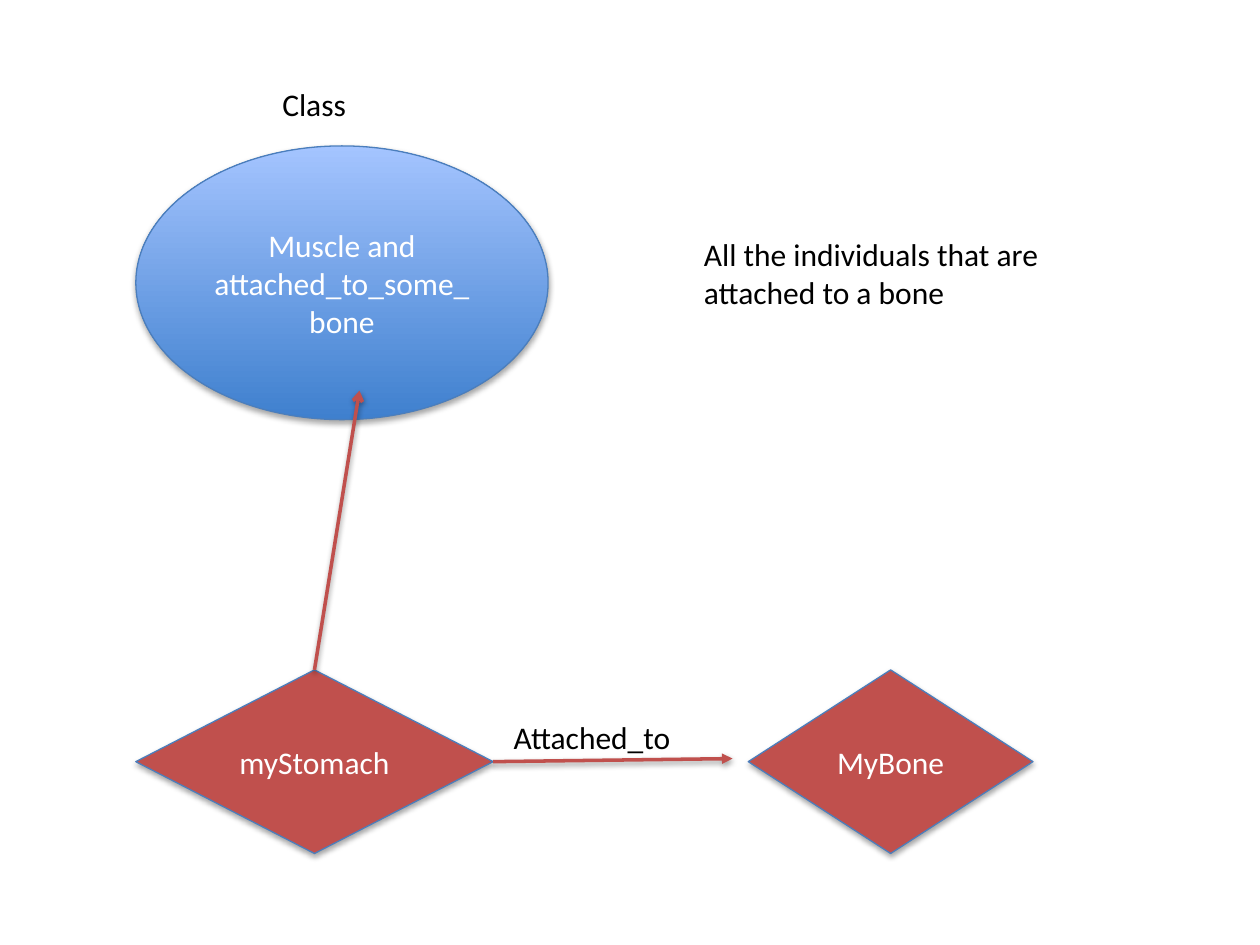
import dataclasses

import pptx
import pptx.dml.color
import pptx.enum.shapes
import pptx.enum.text
import pptx.oxml
import pptx.oxml.ns
import pptx.util

Pt = pptx.util.Pt
RGB = pptx.dml.color.RGBColor.from_string
SHAPE = pptx.enum.shapes.MSO_SHAPE
ALIGN = pptx.enum.text.PP_ALIGN
ANCHOR = pptx.enum.text.MSO_ANCHOR
AUTO = pptx.enum.text.MSO_AUTO_SIZE
NS = pptx.oxml.ns.nsdecls("a")


@dataclasses.dataclass(frozen=True)
class Theme:
    font: str = "Calibri"
    size: float = 18
    dark: str = "000000"
    light: str = "FFFFFF"
    individual: str = "C0504D"
    outline: str = "4B7EBC"
    gradient: tuple = ("3F80CE", "A4C4FF")
    outline_width: float = 0.75
    arrow_width: float = 2


THEME = Theme()


def set_format(obj, values):
    for name, value in values.items():
        setattr(obj, name, value)


def write(tf, text, color, frame, align=None):
    set_format(tf, frame)
    p = tf.paragraphs[0]
    p.alignment = align
    r = p.add_run()
    r.text = text
    set_format(r.font, {"name": THEME.font, "size": Pt(THEME.size)})
    r.font.color.rgb = RGB(color)


def cast_shadow(effects, distance, opacity):
    """Add a soft shadow straight below to an effect list."""
    effects.append(pptx.oxml.parse_xml(
        f'<a:outerShdw {NS} blurRad="{Pt(3.15)}" dist="{Pt(distance)}" dir="5400000" '
        f'rotWithShape="0"><a:srgbClr val="{THEME.dark}">'
        f'<a:alpha val="{opacity * 1000}"/></a:srgbClr></a:outerShdw>'))


def add_node(slide, kind, box, text, fill):
    """Add a labelled shape; a tuple fill runs from bottom to top."""
    sp = slide.shapes.add_shape(kind, *map(Pt, box))
    if isinstance(fill, tuple):
        sp.fill.gradient()
        sp.fill.gradient_angle = 90
        for position, (stop, color) in enumerate(zip(sp.fill.gradient_stops, fill)):
            stop.position = position
            stop.color.rgb = RGB(color)
    else:
        sp.fill.solid()
        sp.fill.fore_color.rgb = RGB(fill)
    sp.line.color.rgb = RGB(THEME.outline)
    sp.line.width = Pt(THEME.outline_width)
    sp.shadow.inherit = False
    cast_shadow(sp.element.spPr.find(pptx.oxml.ns.qn("a:effectLst")), 1.8, 35)
    write(sp.text_frame, text, THEME.light,
          {"word_wrap": True, "vertical_anchor": ANCHOR.MIDDLE}, ALIGN.CENTER)
    return sp


def add_label(slide, box, text, wrap=False):
    sp = slide.shapes.add_textbox(*map(Pt, box))
    write(sp.text_frame, text, THEME.dark,
          {"word_wrap": wrap, "auto_size": AUTO.SHAPE_TO_FIT_TEXT})


def add_arrow(slide, source, site, end, head):
    """Draw an arrow from a connection site of source to a free end point."""
    line = slide.shapes.add_connector(
        pptx.enum.shapes.MSO_CONNECTOR.STRAIGHT, 0, 0, *map(Pt, end))
    line.begin_connect(source, site)
    line.line.color.rgb = RGB(THEME.individual)
    line.line.width = Pt(THEME.arrow_width)
    line.line._get_or_add_ln().append(
        pptx.oxml.parse_xml(f'<a:tailEnd {NS} type="{head}"/>'))
    effects = pptx.oxml.parse_xml(f"<a:effectLst {NS}/>")
    cast_shadow(effects, 1.6, 38)
    line.element.spPr.append(effects)


def main():
    prs = pptx.Presentation()
    set_format(prs, {"slide_width": Pt(720), "slide_height": Pt(540)})
    slide = prs.slides.add_slide(prs.slide_layouts[6])

    add_node(slide, SHAPE.OVAL, (77.6, 83.4, 235.6, 156.4),
             "Muscle and attached_to_some_bone", THEME.gradient)
    add_label(slide, (395.2, 131, 236, 50.9),
              "All the individuals that are attached to a bone", wrap=True)
    add_label(slide, (154.2, 44.8, 51, 29.1), "Class")

    stomach, _ = [
        add_node(slide, SHAPE.DIAMOND, (left, 382.8, width, 104.9), text, THEME.individual)
        for left, width, text in ((77.6, 204.2, "myStomach"), (427.6, 162.7, "MyBone"))]

    add_arrow(slide, stomach, 3, (418.6, 433.5), "triangle")
    add_label(slide, (286.4, 406.9, 106, 29.1), "Attached_to")
    add_arrow(slide, stomach, 0, (205.4, 223.2), "arrow")

    prs.save("out.pptx")


if __name__ == "__main__":
    main()
